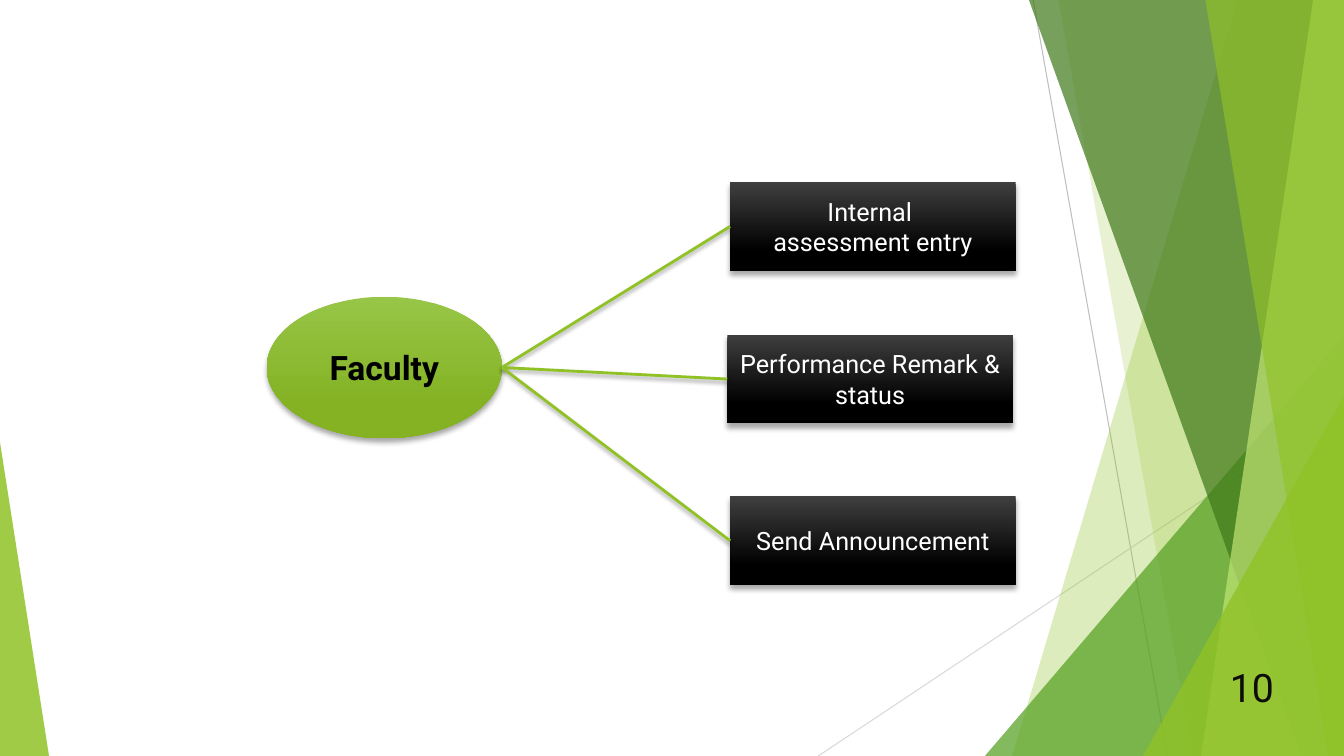
from lxml import etree
from pptx import Presentation
from pptx.dml.color import RGBColor
from pptx.enum.shapes import MSO_CONNECTOR, MSO_SHAPE
from pptx.enum.text import MSO_ANCHOR, PP_ALIGN
from pptx.oxml.ns import qn
from pptx.util import Pt

STRAIGHT = MSO_CONNECTOR.STRAIGHT
ELLIPSE = MSO_SHAPE.OVAL
RECTANGLE = MSO_SHAPE.RECTANGLE
TRIANGLE = MSO_SHAPE.ISOSCELES_TRIANGLE
MIDDLE = MSO_ANCHOR.MIDDLE
CENTER = PP_ALIGN.CENTER
RIGHT = PP_ALIGN.RIGHT

WIDTH, HEIGHT = 960, 540
LEFT_SIDE = 1
GREEN = "90C226"
BLACK_GRADIENT = ("3F3F3F", "000000")
GREEN_GRADIENT = ("97C547", "84B223")


def color(value):
    return RGBColor.from_string(value)


def points(*values):
    return [Pt(value) for value in values]


class SlideBuilder:
    font_name = "Roboto"

    def __init__(self, slide):
        self.slide = slide
        self.shapes = slide.shapes

    def effects(self, shape, blur=0, distance=0):
        properties = shape._element.spPr
        effect_list = etree.SubElement(properties, qn("a:effectLst"))
        if blur:
            shadow = etree.SubElement(
                effect_list, qn("a:outerShdw"), blurRad=str(Pt(blur)),
                dist=str(Pt(distance)), dir="5400000", rotWithShape="0")
            tone = etree.SubElement(shadow, qn("a:srgbClr"), val="000000")
            etree.SubElement(tone, qn("a:alpha"), val="35000")

    def paint(self, shape, fill, opacity):
        shape.shadow.inherit = False
        shape.fill.solid()
        shape.fill.fore_color.rgb = color(fill)
        shape.line.fill.background()
        tone = shape._element.spPr.find(qn("a:solidFill")).find(qn("a:srgbClr"))
        etree.SubElement(tone, qn("a:alpha"), val=str(opacity * 1000))

    def facet(self, top_x, bottom_x, fill, opacity):
        builder = self.shapes.build_freeform(*points(top_x, 0))
        corners = [(WIDTH, 0), (WIDTH, HEIGHT), (bottom_x, HEIGHT)]
        builder.add_line_segments([points(*corner) for corner in corners])
        self.paint(builder.convert_to_shape(), fill, opacity)

    def triangle(self, left, top, width, apex, fill, opacity):
        shape = self.shapes.add_shape(
            TRIANGLE, *points(left, top, width, HEIGHT - top))
        shape.adjustments[0] = apex
        self.paint(shape, fill, opacity)

    def line(self, start, end, stroke, weight, shadow=False, target=None):
        connector = self.shapes.add_connector(STRAIGHT, *points(*start, *end))
        if target is not None:
            connector.end_connect(target, LEFT_SIDE)
        connector.line.color.rgb = color(stroke)
        connector.line.width = Pt(weight)
        self.effects(connector, *((3, 2) if shadow else ()))

    def add_lines(self, shape, lines, align, **font):
        frame = shape.text_frame
        frame.word_wrap = True
        frame.vertical_anchor = MIDDLE
        for index, line in enumerate(lines):
            paragraph = frame.add_paragraph() if index else frame.paragraphs[0]
            paragraph.alignment = align
            run = paragraph.add_run()
            run.text = line
            run.font.color.rgb = color(font["tone"])
            values = {"name": self.font_name, "size": Pt(font["size"]),
                      "bold": font.get("bold", False)}
            for name, value in values.items():
                setattr(run.font, name, value)

    def node(self, kind, box, gradient, lines, **font):
        shape = self.shapes.add_shape(kind, *points(*box))
        shape.fill.gradient()
        shape.fill.gradient_angle = 270
        for stop, tone, position in zip(
                shape.fill.gradient_stops, gradient, (0, 0.78)):
            stop.color.rgb = color(tone)
            stop.position = position
        shape.line.fill.background()
        self.effects(shape, 4, 3)
        self.add_lines(shape, lines, CENTER, **font)
        return shape

    def label(self, box, text, align, **font):
        shape = self.shapes.add_textbox(*points(*box))
        self.add_lines(shape, [text], align, **font)


def main():
    presentation = Presentation()
    presentation.slide_width, presentation.slide_height = points(WIDTH, HEIGHT)
    slide = presentation.slides.add_slide(presentation.slide_layouts[6])
    builder = SlideBuilder(slide)

    builder.line((738, 0), (834, HEIGHT), "BFBFBF", 0.75)
    builder.line((WIDTH, 290), (584.5, HEIGHT), "D9D9D9", 0.75)
    builder.facet(884, 723, GREEN, 30)
    builder.facet(756, 852, GREEN, 20)
    builder.triangle(703.5, 240, 256.5, 1, "54A021", 72)
    builder.facet(735, 929.5, "3F7819", 70)
    builder.facet(938, 858, "C0E474", 70)
    builder.facet(861, 949, GREEN, 65)
    builder.triangle(816.5, 283, 143.5, 1, GREEN, 80)
    builder.triangle(0, 316, 35, 0, GREEN, 85)

    builder.node(ELLIPSE, (190.5, 212, 168, 101), GREEN_GRADIENT,
                 ["Faculty"], size=24, tone="000000", bold=True)
    faculty_right = (358.5, 262.5)
    tasks = [
        (521.5, 130, ["Internal ", "assessment entry"]),
        (519.5, 239, ["Performance Remark & status"]),
        (521.5, 354.5, ["Send Announcement"]),
    ]
    for left, top, lines in tasks:
        task = builder.node(RECTANGLE, (left, top, 204, 63.5), BLACK_GRADIENT,
                            lines, size=18, tone="FFFFFF")
        builder.line(faculty_right, (left, top), GREEN, 2, True, task)

    builder.label((676, 476, 241, 29), "10", RIGHT, size=28, tone="0D0D0D")
    presentation.save("out.pptx")


if __name__ == "__main__":
    main()
